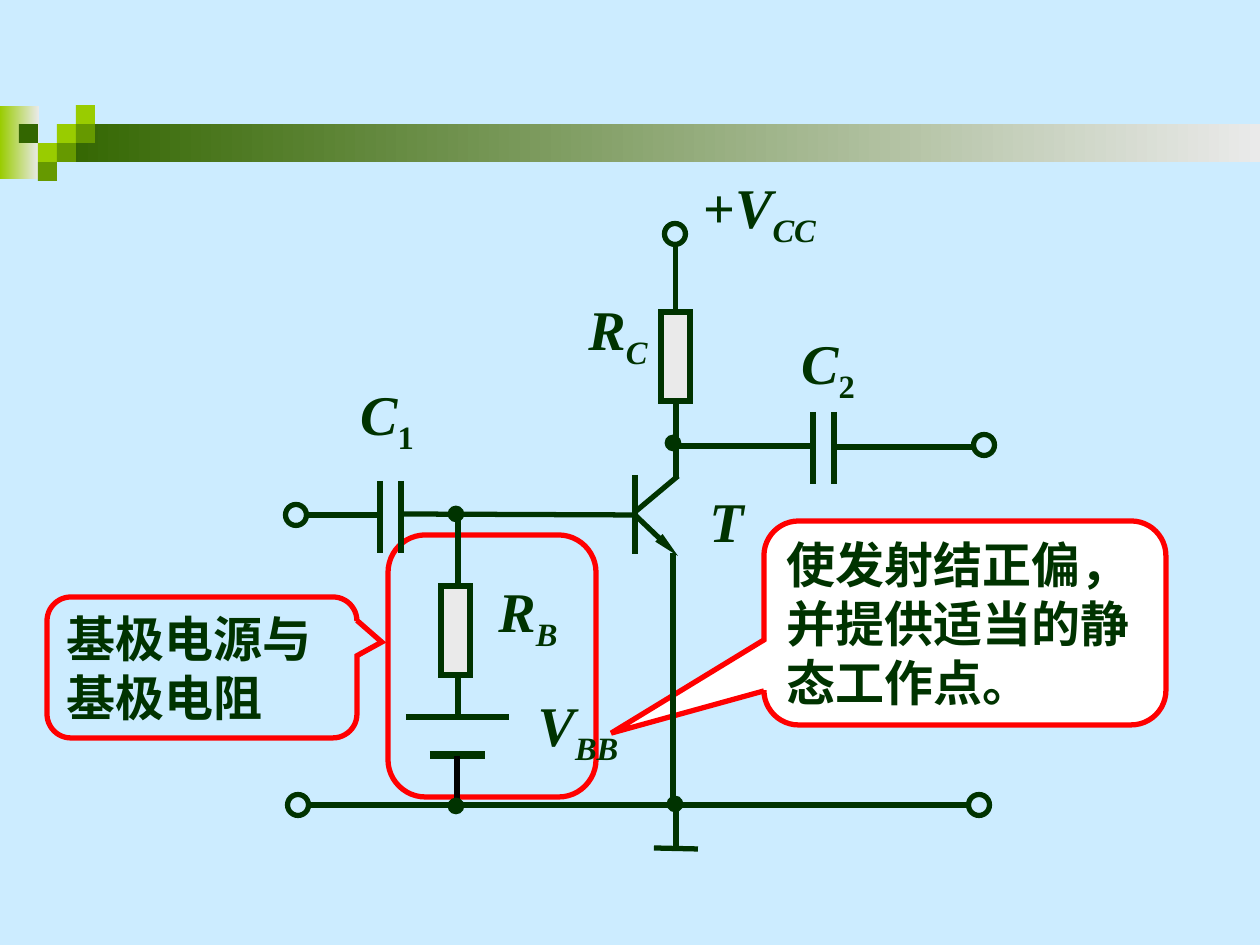
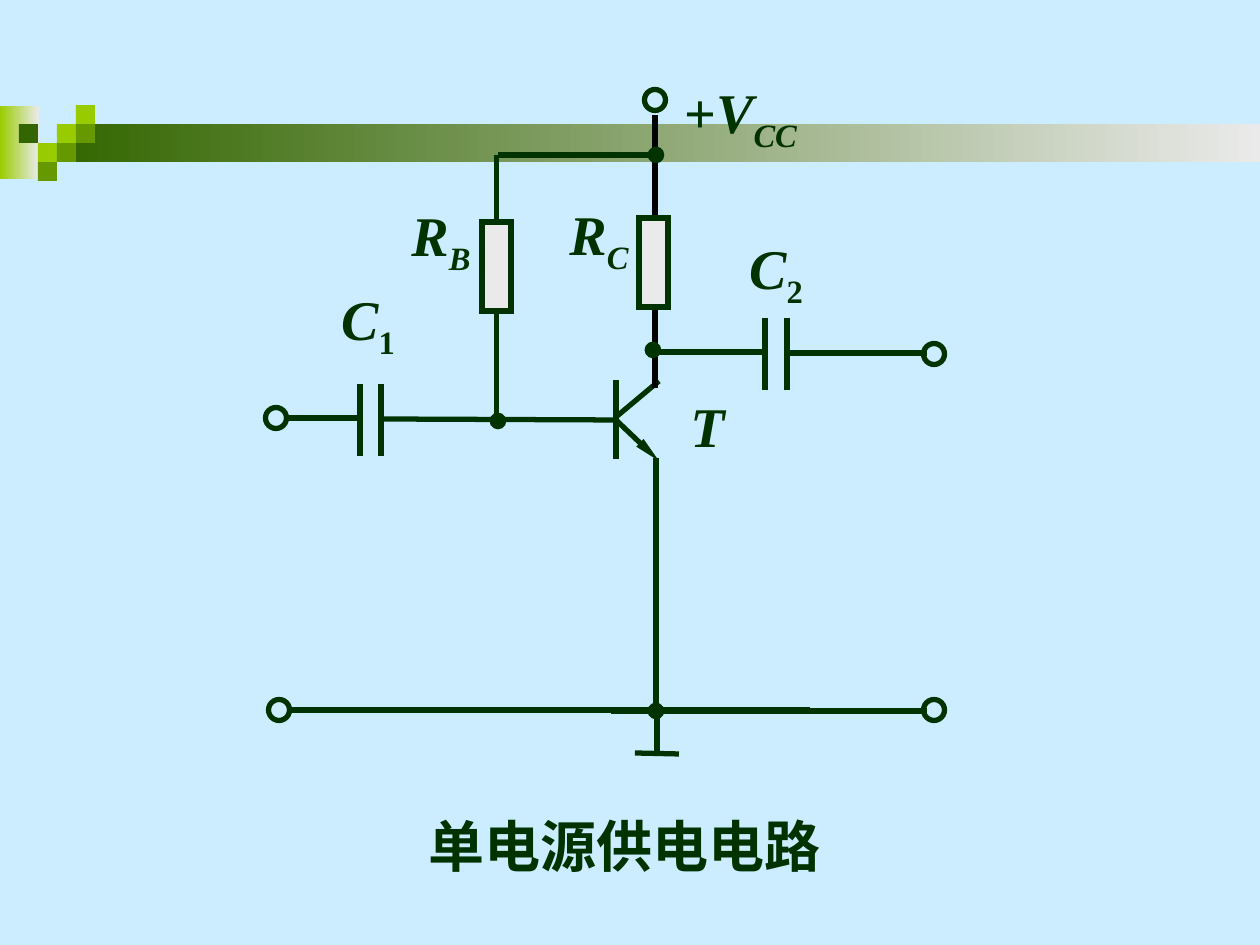
from lxml import etree
from pptx import Presentation
from pptx import util as u
from pptx.dml.color import RGBColor
from pptx.enum import shapes, text
from pptx.oxml.ns import qn

PX = 914400 / 126
FONT = "Times New Roman"
HEX = {"sky": "CCECFF", "ink": "003300", "black": "000000", "red": "FF0000",
       "white": "FFFFFF", "pale": "EAEAEA", "lime": "99CC00", "leaf": "669900",
       "moss": "336600"}
KIND = shapes.MSO_SHAPE

CELL, TOP = 19, 105
FADES = [((0, 106, 39, 73), "lime"), ((57, 124, 1203, 38), "moss")]
TILES = [(3, 1, "lime"), (4, 0, "lime"), (4, 1, "leaf"), (2, 2, "lime"),
         (1, 1, "moss"), (3, 2, "leaf"), (2, 3, "leaf")]
RING, DOT = 21, 15
BODY = (29, 89)

MAIN = {
    "wires": [(635, 475, 635, 554), (635, 512, 678, 476), (401, 514, 635, 515),
              (310, 805, 432, 805), (430, 805, 829, 805),
              (676, 806, 676, 850), (654, 848, 698, 849)],
    "arrows": [(635, 515, 678, 556)],
    "rings": [(298, 805)],
    "labels": [((691, 166, 137, 89), [("+", ""), ("V", "i"), ("CC", "is")]),
               ((576, 288, 84, 89), [("R", "i"), ("C", "is")]),
               ((348, 373, 78, 89), [("C", "i"), ("1", "s")]),
               ((697, 480, 59, 81), [("T", "i")])],
}
INPUT = {
    "wires": [(380, 481, 380, 553), (401, 481, 401, 553), (309, 515, 378, 515)],
    "rings": [(296, 515)],
}
BASE = [("R", "i"), ("B", "is")]
LOAD = [("C", "i"), ("2", "s")]
DUAL = {
    "wires": [(676, 352, 676, 479), (458, 513, 458, 718), (673, 553, 673, 805),
              (653, 805, 969, 805), (673, 446, 813, 446), (406, 717, 509, 717),
              (430, 755, 485, 755, "ink", 4.5), (457, 756, 457, 804, "black"),
              (813, 412, 813, 484), (834, 412, 834, 484), (833, 447, 974, 447)],
    "coils": [(661, 312, 244, None), (441, 586, None, None)],
    "rings": [(675, 234), (984, 445), (979, 805)],
    "dots": [(673, 443), (675, 804), (456, 514), (456, 806)],
    "labels": [((486, 570, 84, 89), BASE), ((789, 322, 78, 89), LOAD),
               ((525, 684, 106, 89), [("V", "i"), ("BB", "is")])],
}
SINGLE = {
    "wires": [(655, 115, 655, 388, "black"), (656, 458, 656, 710),
              (611, 711, 927, 711), (654, 352, 767, 352), (498, 155, 656, 155),
              (765, 318, 765, 390), (787, 318, 787, 390), (786, 353, 927, 353)],
    "coils": [(639, 218, None, None), (482, 222, 155, 422)],
    "rings": [(655, 100), (934, 354), (934, 710)],
    "dots": [(653, 350), (656, 711), (656, 155), (498, 421)],
    "labels": [((399, 194, 84, 89), BASE), ((737, 227, 78, 89), LOAD)],
}
FRAME = ((388, 535, 208, 262), 0.18)
NOTES = [((764, 521, 402, 204), (-0.88, 0.54, 0.17), "white",
          "使发射结正偏，并提供适当的静态工作点。"),
         ((47, 597, 310, 141), (0.58, -0.18, 0.17), None,
          "基极电源与基极电阻")]
TITLE = ((416, 805, 417, 81), "单电源供电电路")


def emu(*nums):
    return [u.Emu(round(n * PX)) for n in nums]


def rgb(name):
    return RGBColor.from_string(HEX[name])


def add_box(slide, kind, box, fill=None, edge=None, width=3):
    shape = slide.shapes.add_shape(kind, *emu(*box))
    shape.shadow.inherit = False
    if fill:
        shape.fill.solid()
        shape.fill.fore_color.rgb = rgb(fill)
    else:
        shape.fill.background()
    if edge:
        shape.line.color.rgb = rgb(edge)
        shape.line.width = u.Pt(width)
        etree.SubElement(shape.get_or_add_ln() if hasattr(shape, "get_or_add_ln")
                         else shape.element.spPr.get_or_add_ln(),
                         qn("a:miter"), lim="800000")
    else:
        shape.line.fill.background()
    return shape


def add_wire(slide, x1, y1, x2, y2, tint="ink", width=3, arrow=False):
    wire = slide.shapes.add_connector(shapes.MSO_CONNECTOR.STRAIGHT,
                                      *emu(x1, y1, x2, y2))
    wire.line.color.rgb = rgb(tint)
    wire.line.width = u.Pt(width)
    if arrow:
        etree.SubElement(wire.get_or_add_ln(), qn("a:tailEnd"),
                         type="triangle", w="sm", len="lg")
    etree.SubElement(wire.element.spPr, qn("a:effectLst"))
    return wire


def add_coil(slide, x, y, high, low):
    wide, tall = BODY
    mid = x + wide / 2
    body = add_box(slide, KIND.RECTANGLE, (x, y, wide, tall), "pale", "ink")
    for side, start, end in ((0, y, high), (2, y + tall, low)):
        if end is not None:
            add_wire(slide, mid, start, mid, end).begin_connect(body, side)


def add_disc(slide, x, y, size, fill, width):
    box = (x - size / 2, y - size / 2, size, size)
    add_box(slide, KIND.OVAL, box, fill, "ink", width)


def put_text(shape, runs, size, align, wrap):
    frame = shape.text_frame
    frame.word_wrap = wrap
    frame.auto_size = text.MSO_AUTO_SIZE.NONE
    frame.vertical_anchor = text.MSO_ANCHOR.MIDDLE
    para = frame.paragraphs[0]
    para.alignment = align
    for words, style in runs:
        run = para.add_run()
        run.text = words
        font = run.font
        font.name, font.size, font.bold = FONT, u.Pt(size), True
        font.italic = "i" in style
        font.color.rgb = rgb("ink")
        if "s" in style:
            run._r.get_or_add_rPr().set("baseline", "-25000")


def draw(slide, part, dx=0, dy=0):
    for key in ("wires", "arrows"):
        for x1, y1, x2, y2, *look in part.get(key, []):
            add_wire(slide, x1 + dx, y1 + dy, x2 + dx, y2 + dy, *look,
                     arrow=key == "arrows")
    for coil in part.get("coils", []):
        add_coil(slide, *coil)
    for key, size, fill, width in (("rings", RING, None, 3), ("dots", DOT, "ink", 1)):
        for x, y in part.get(key, []):
            add_disc(slide, x + dx, y + dy, size, fill, width)
    for (x, y, w, h), runs in part.get("labels", []):
        label = slide.shapes.add_textbox(*emu(x + dx, y + dy, w, h))
        put_text(label, runs, 32, text.PP_ALIGN.CENTER, False)


def set_master(deck, slide):
    master = deck.slide_master
    master.background.fill.solid()
    master.background.fill.fore_color.rgb = rgb("sky")
    band = []
    for box, tint in FADES:
        bar = add_box(slide, KIND.RECTANGLE, box)
        bar.fill.gradient()
        bar.fill.gradient_angle = 0
        for stop, name in zip(bar.fill.gradient_stops, (tint, "pale")):
            stop.color.rgb = rgb(name)
        band.append(bar)
    for col, row, tint in TILES:
        box = (col * CELL, TOP + row * CELL, CELL, CELL)
        band.append(add_box(slide, KIND.RECTANGLE, box, tint))
    for spot, shape in enumerate(band, 2):
        master.shapes.element.insert(spot, shape.element)


def add_notes(slide):
    box, curve = FRAME
    frame = add_box(slide, KIND.ROUNDED_RECTANGLE, box, None, "red")
    frame.adjustments[0] = curve
    for box, bends, fill, words in NOTES:
        note = add_box(slide, KIND.ROUNDED_RECTANGULAR_CALLOUT, box, fill, "red")
        for spot, bend in enumerate(bends):
            note.adjustments[spot] = bend
        put_text(note, [(words, "")], 28, text.PP_ALIGN.LEFT, True)


def add_title(slide):
    box, words = TITLE
    title = slide.shapes.title
    title.left, title.top, title.width, title.height = emu(*box)
    put_text(title, [(words, "")], 32, text.PP_ALIGN.CENTER, False)
    title.text_frame.margin_left = title.text_frame.margin_right = 0


def main():
    deck = Presentation()
    deck.slide_width, deck.slide_height = emu(1260, 945)
    dual = deck.slides.add_slide(deck.slide_layouts[6])
    set_master(deck, dual)
    add_notes(dual)
    for part in (MAIN, INPUT, DUAL):
        draw(dual, part)

    single = deck.slides.add_slide(deck.slide_layouts[5])
    add_title(single)
    for part, dx, dy in ((MAIN, -19, -95), (INPUT, -20, -97), (SINGLE, 0, 0)):
        draw(single, part, dx, dy)
    deck.save("out.pptx")


if __name__ == "__main__":
    main()
